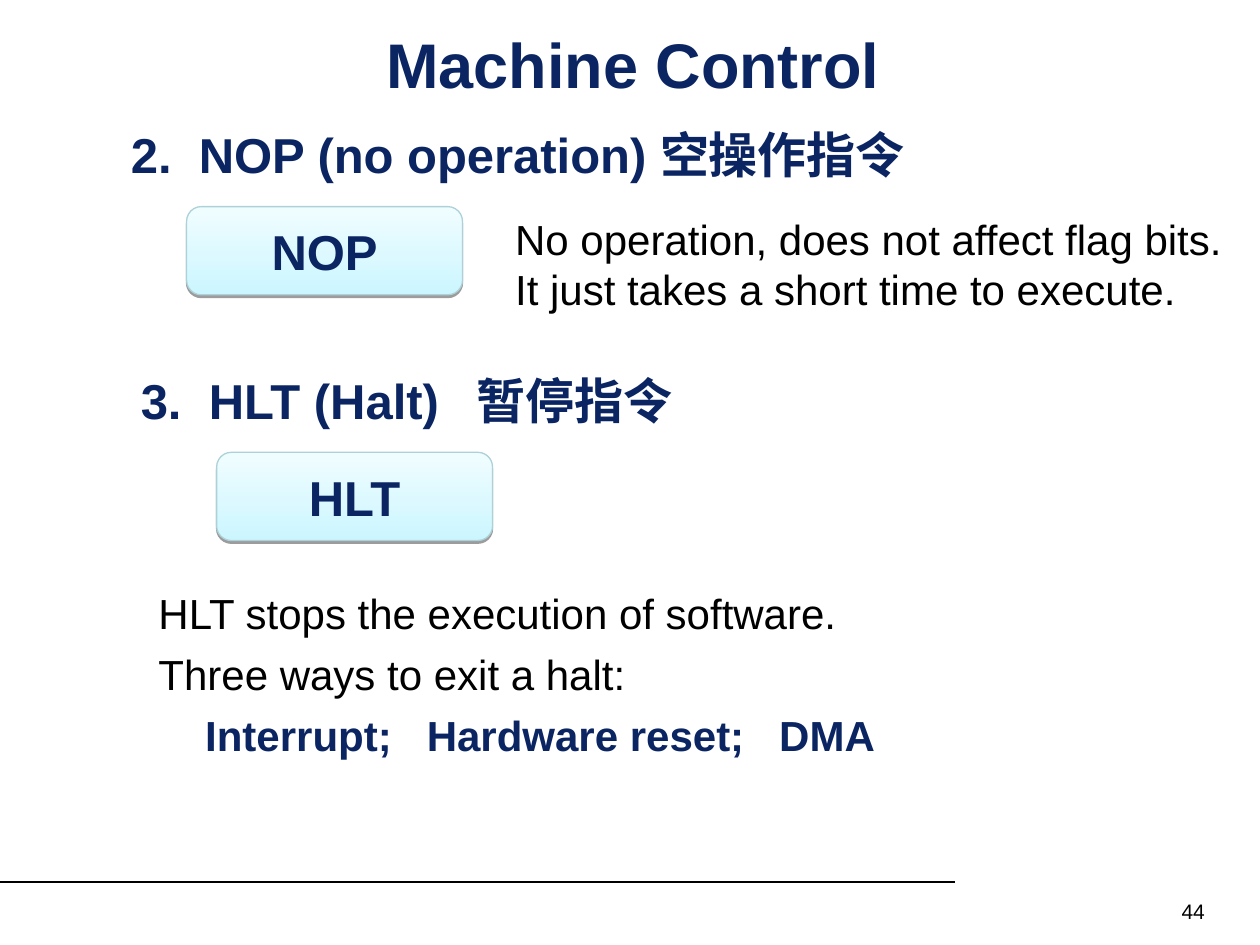
from lxml import etree
from pptx import Presentation
from pptx import util as u
from pptx.dml.color import RGBColor
from pptx.enum import shapes, text
from pptx.oxml import parse_xml
from pptx.oxml.ns import nsdecls, qn

Pt = u.Pt
COLORS = {"navy": "0A2562", "black": "000000", "edge": "ADD1D8", "low": "CCF6FF", "high": "F0FDFF"}
HEAD = {"size": 28, "bold": True, "color": "navy"}
BODY = {"size": 24, "bold": False, "color": "black"}
KEY = {"size": 24, "bold": True, "color": "navy"}
NUMBER = {"size": 12, "bold": False, "color": "black"}
TITLE = ("Machine Control", {"size": 36, "bold": True, "color": "navy"})
LEFT, RIGHT, CENTER = text.PP_ALIGN.LEFT, text.PP_ALIGN.RIGHT, text.PP_ALIGN.CENTER

TEXTS = [
    {"at": (67.7, 67.7, 523.4, 41), "lines": [("2.\tNOP (no operation) 空操作指令", HEAD, (38.9,))]},
    {"at": (73.4, 208.1, 523.4, 41), "lines": [("3.\tHLT (Halt)\t暂停指令", HEAD, (38.9, 192))]},
    {"at": (287.3, 118.1, 432.7, 64.8), "spacing": 28.9, "lines": [
        ("No operation, does not affect flag bits.", BODY, ()),
        ("It just takes a short time to execute.", BODY, ())]},
    {"at": (83.5, 331.9, 468, 105.8), "spacing": 28.9, "before": 6, "lines": [
        ("HLT stops the execution of software.", BODY, ()),
        ("Three ways to exit a halt:", BODY, ()),
        ("\tInterrupt;\tHardware reset;\tDMA", KEY, (26.7, 153.3, 354.7))]},
    {"at": (527.8, 509.8, 167.8, 19.4), "align": RIGHT, "lines": [("44", NUMBER, ())]},
]
BUTTONS = [("NOP", 106.6, 118.1), ("HLT", 123.8, 258.5)]
BUTTON_SIZE = (157.7, 50.4)


def rgb(name):
    """Return a palette colour."""
    return RGBColor.from_string(COLORS[name])


def place(sp, box):
    """Set the four lengths of a shape in points."""
    for name, value in zip(("left", "top", "width", "height"), box):
        setattr(sp, name, Pt(value))


def write(p, words, style, tabs=(), align=LEFT):
    """Fill one paragraph with text, tab stops and formatting."""
    p.alignment = align
    r = p.add_run()
    r.text = words
    if tabs:
        tab_list = etree.SubElement(p._p.get_or_add_pPr(), qn("a:tabLst"))
        for stop in tabs:
            etree.SubElement(tab_list, qn("a:tab"), pos=str(int(Pt(stop))), algn="l")
    for name, value in {"name": "Arial", "size": Pt(style["size"]), "bold": style["bold"]}.items():
        setattr(r.font, name, value)
    r.font.color.rgb = rgb(style["color"])


def add_text(s, item):
    """Add a text box with one paragraph per line."""
    sp = s.shapes.add_textbox(*map(Pt, item["at"]))
    tf = sp.text_frame
    tf.word_wrap = True
    for i, (words, style, tabs) in enumerate(item["lines"]):
        p = tf.add_paragraph() if i else tf.paragraphs[0]
        if "spacing" in item:
            p.line_spacing = Pt(item["spacing"])
        if i and "before" in item:
            p.space_before = Pt(item["before"])
        write(p, words, style, tabs, item.get("align", LEFT))


def add_button(s, words, left, top):
    """Add a rounded gradient button with a drop shadow."""
    sp = s.shapes.add_shape(shapes.MSO_SHAPE.ROUNDED_RECTANGLE, Pt(left), Pt(top), *map(Pt, BUTTON_SIZE))
    sp.fill.gradient()
    sp.fill.gradient_angle = 90
    for stop, name in zip(sp.fill.gradient_stops, ("low", "high")):
        stop.color.rgb = rgb(name)
    sp.line.color.rgb = rgb("edge")
    sp.line.width = Pt(0.75)
    sp._element.spPr.append(parse_xml(
        f'<a:effectLst {nsdecls("a")}><a:outerShdw dist="{int(Pt(1.6))}" dir="5400000" rotWithShape="0">'
        f'<a:srgbClr val="{COLORS["black"]}"><a:alpha val="38000"/></a:srgbClr></a:outerShdw></a:effectLst>'))
    tf = sp.text_frame
    tf.word_wrap = False
    tf.vertical_anchor = text.MSO_ANCHOR.MIDDLE
    write(tf.paragraphs[0], words, HEAD, align=CENTER)


def main():
    """Build the machine control slide."""
    prs = Presentation()
    prs.slide_width, prs.slide_height = Pt(720), Pt(540)
    s = prs.slides.add_slide(prs.slide_layouts[5])
    rule = s.shapes.add_connector(shapes.MSO_CONNECTOR.STRAIGHT, 0, Pt(504), Pt(545.8), Pt(504))
    rule.line.color.rgb = rgb("black")
    rule.line.width = Pt(0.75)
    etree.SubElement(rule._element.spPr, qn("a:effectLst"))
    title = s.shapes.title
    place(title, (36, 18, 651.6, 36))
    title.text_frame.vertical_anchor = text.MSO_ANCHOR.MIDDLE
    write(title.text_frame.paragraphs[0], *TITLE, align=CENTER)
    for button in BUTTONS:
        add_button(s, *button)
    for item in TEXTS:
        add_text(s, item)
    prs.save("out.pptx")


if __name__ == "__main__":
    main()
